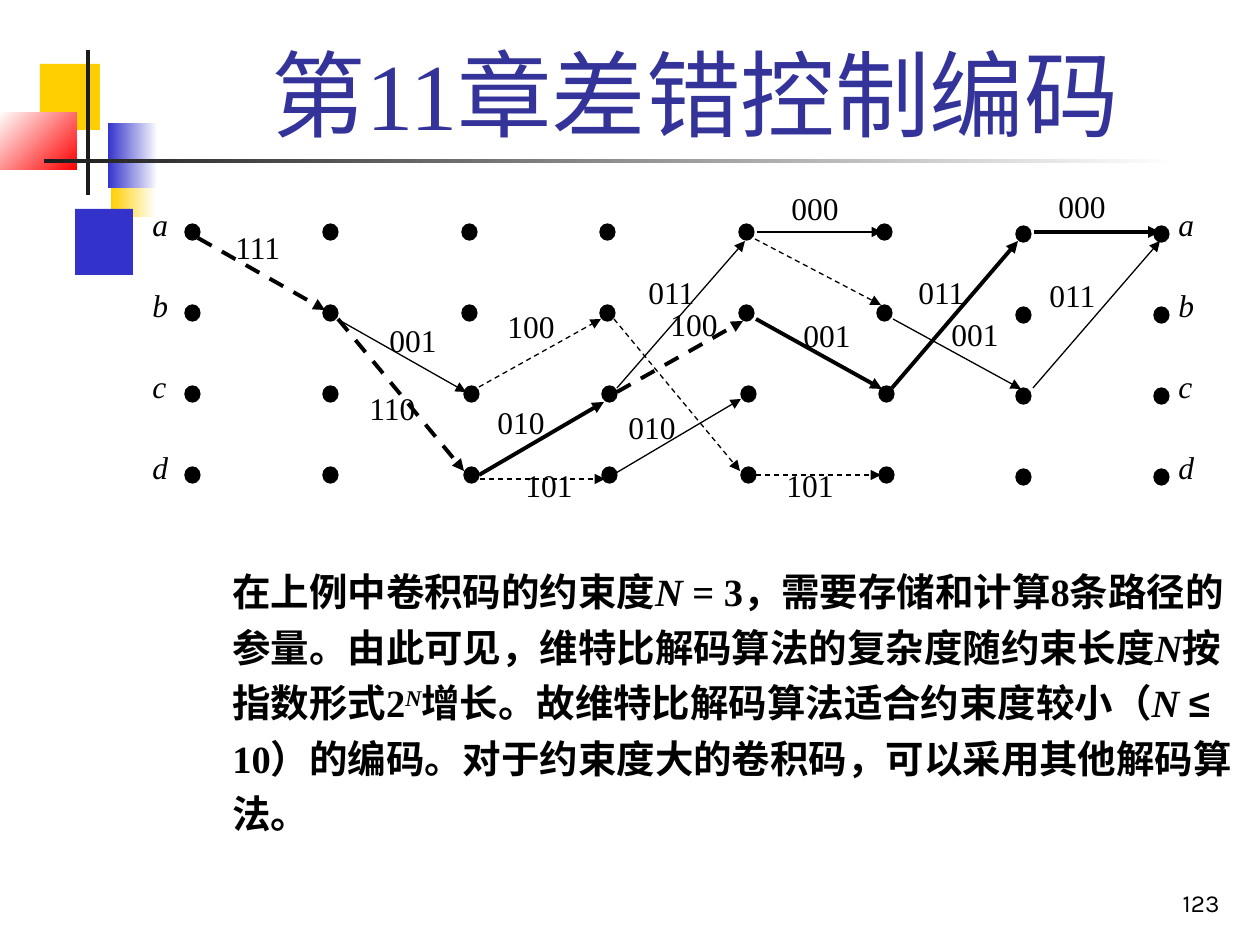
from lxml.etree import SubElement
from pptx import Presentation
from pptx.dml.color import RGBColor
from pptx.enum.dml import MSO_LINE
from pptx.enum.shapes import MSO_CONNECTOR, MSO_SHAPE
from pptx.enum.text import MSO_ANCHOR, MSO_AUTO_SIZE, PP_ALIGN
from pptx.oxml.ns import qn
from pptx.util import Emu, Pt

PX = 914400 / 126
BLACK, WHITE, DARK = "000000", "FFFFFF", "1C1C1C"
BLUE, YELLOW, RED, TITLE_BLUE = "3333CC", "FFCF01", "FF0000", "333399"
THIN, THICK = 0.75, 2.25


def px(length):
    return Emu(round(length * PX))


def rgb(code):
    return RGBColor.from_string(code)


def write(frame, runs, size=18, font="Times New Roman", color=BLACK, bold=False,
          italic=False, align=PP_ALIGN.JUSTIFY, anchor=MSO_ANCHOR.TOP):
    """Fill a text frame; runs is a string or (text, {italic, font, baseline}) pairs."""
    frame.word_wrap = True
    frame.auto_size = MSO_AUTO_SIZE.NONE
    frame.vertical_anchor = anchor
    paragraph = frame.paragraphs[0]
    paragraph.alignment = align
    for content, change in [(runs, {})] if isinstance(runs, str) else runs:
        run = paragraph.add_run()
        run.text = content
        run.font.size = Pt(size)
        run.font.name = change.get("font", font)
        run.font.bold = bold
        run.font.italic = change.get("italic", italic)
        run.font.color.rgb = rgb(color)
        if "baseline" in change:
            run._r.get_or_add_rPr().set("baseline", str(change["baseline"]))
    return paragraph


class TrellisSlide:
    """Holds the slide and draws each kind of element on it."""

    def __init__(self, slide):
        self.slide = slide
        self.shapes = slide.shapes

    def title(self, content, left, top, width, height):
        heading = self.shapes.title
        heading.left, heading.top = px(left), px(top)
        heading.width, heading.height = px(width), px(height)
        write(heading.text_frame, content, size=54, color=TITLE_BLUE,
              align=PP_ALIGN.CENTER, anchor=MSO_ANCHOR.BOTTOM)

    def solid(self, kind, left, top, width, height, color):
        shape = self.shapes.add_shape(kind, px(left), px(top), px(width), px(height))
        shape.shadow.inherit = False
        shape.fill.solid()
        shape.fill.fore_color.rgb = rgb(color)
        shape.line.fill.background()
        return shape

    def block(self, left, top, width, height, start, end=None, angle=0):
        """Rectangle, faded from start to end when an end colour is given."""
        shape = self.solid(MSO_SHAPE.RECTANGLE, left, top, width, height, start)
        if end:
            shape.fill.gradient()
            shape.fill.gradient_angle = angle
            for stop, color in zip(shape.fill.gradient_stops, (start, end)):
                stop.color.rgb = rgb(color)

    def node(self, left, top):
        dot = self.solid(MSO_SHAPE.OVAL, left, top, 15, 16, BLACK)
        dot.line.color.rgb = rgb(BLACK)
        dot.line.width = Pt(THIN)

    def branch(self, x1, y1, x2, y2, weight=THIN, dashed=False):
        arrow = self.shapes.add_connector(
            MSO_CONNECTOR.STRAIGHT, px(x1), px(y1), px(x2), px(y2))
        arrow.line.color.rgb = rgb(BLACK)
        arrow.line.width = Pt(weight)
        if dashed:
            arrow.line.dash_style = MSO_LINE.DASH
        SubElement(arrow.line._get_or_add_ln(), qn("a:tailEnd"), type="triangle")
        SubElement(arrow._element.spPr, qn("a:effectLst"))

    def label(self, content, left, top, width, height, **style):
        box = self.shapes.add_textbox(px(left), px(top), px(width), px(height))
        return write(box.text_frame, content, **style)


DECORATION = [
    (111, 151, 45, 66, YELLOW, WHITE),
    (75, 209, 58, 66, BLUE),
    (40, 64, 60, 66, YELLOW),
    (108, 123, 50, 65, BLUE, WHITE),
    (0, 112, 77, 58, WHITE, RED, 315),
    (86, 50, 4, 145, DARK),
    (44, 159, 1134, 4, DARK, WHITE),
]

BRANCHES = [
    (480, 479, 605, 479, THIN, True),
    (616, 473, 741, 399),
    (892, 388, 1018, 241, THICK),
    (339, 320, 466, 392),
    (614, 319, 740, 471, THIN, True),
    (617, 388, 745, 241),
    (479, 387, 601, 319, THIN, True),
    (617, 392, 743, 321, THICK, True),
    (198, 238, 325, 310, THICK, True),
    (338, 319, 464, 471, THICK, True),
    (479, 475, 604, 402, THICK),
    (893, 319, 1021, 389),
    (1034, 232, 1160, 232, THICK),
    (1033, 388, 1160, 241),
    (757, 232, 882, 232),
    (756, 475, 881, 475, THIN, True),
    (756, 319, 882, 389, THICK),
    (755, 239, 881, 305, THIN, True),
]

BRANCH_CODES = {
    "000": [(779, 183), (1046, 181)],
    "001": [(377, 315), (791, 310), (939, 309)],
    "010": [(485, 397), (616, 402)],
    "011": [(636, 267), (906, 267), (1037, 270)],
    "100": [(658, 299), (495, 301)],
    "101": [(513, 460), (774, 460)],
    "110": [(357, 383)],
    "111": [(223, 222)],
}

ITALIC = {"italic": True}
EXPLANATION = [
    ("在上例中卷积码的约束度", {}),
    ("N", ITALIC),
    (" = 3，需要存储和计算8条路径的参量。由此可见，维特比解码算法的复杂度随约束长度", {}),
    ("N", ITALIC),
    ("按指数形式2", {}),
    ("N", {"italic": True, "baseline": 30000}),
    ("增长。故维特比解码算法适合约束度较小（", {}),
    ("N ", ITALIC),
    ("≤", {"font": "Arial"}),
    (" 10）的编码。对于约束度大的卷积码，可以采用其他解码算法。", {}),
]


def main():
    deck = Presentation()
    deck.slide_width, deck.slide_height = px(1260), px(945)
    trellis = TrellisSlide(deck.slides.add_slide(deck.slide_layouts[5]))

    for block in DECORATION:
        trellis.block(*block)
    trellis.label("123", 970, 861, 262, 63, size=14, font="Karla",
                  align=PP_ALIGN.RIGHT, anchor=MSO_ANCHOR.BOTTOM)
    trellis.title("第11章差错控制编码", 159, 29, 1073, 127)

    body = trellis.label(EXPLANATION, 0, 553, 1260, 392, size=22, bold=True,
                         align=PP_ALIGN.LEFT)
    body.line_spacing = 1.2
    body._p.get_or_add_pPr().set("marL", str(px(220)))

    for row, state in enumerate("abcd"):
        for step in range(8):
            # The lower middle nodes sit slightly right, the last two steps slightly low
            shift = 2 if row >= 2 and 2 <= step <= 5 else 0
            drop = 2 if step >= 6 else 0
            trellis.node(185 + step * 277 // 2 + shift, 224 + 81 * row + drop)
        for left in (140, 1166):
            trellis.label(state, left, 199 + 81 * row, 53, 57, italic=True)

    for branch in BRANCHES:
        trellis.branch(*branch)
    for code, places in BRANCH_CODES.items():
        for left, top in places:
            trellis.label(code, left, top, 77, 57)

    deck.save("out.pptx")


if __name__ == "__main__":
    main()
